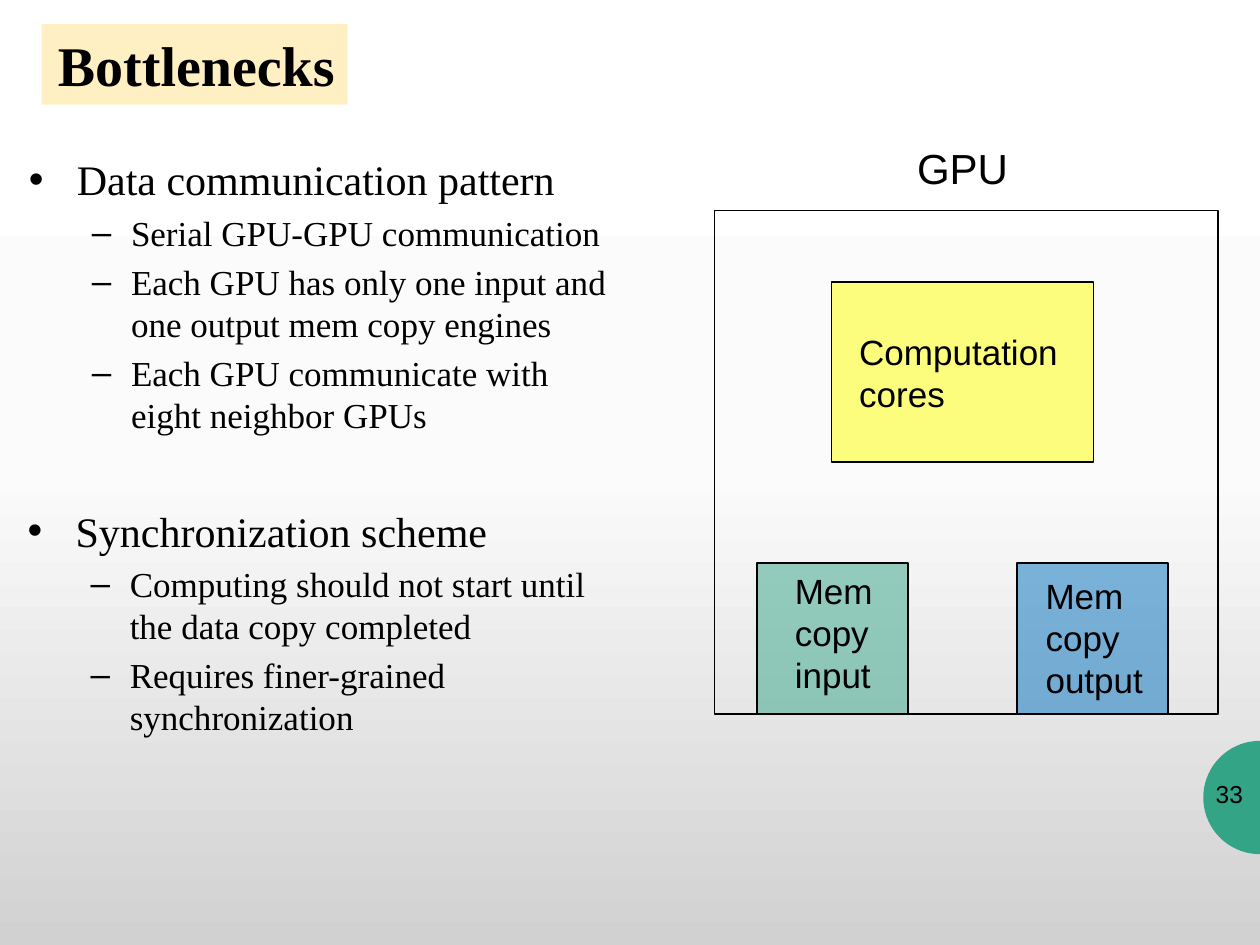
import copy
import math

from lxml import etree
from pptx import Presentation
from pptx.dml.color import RGBColor
from pptx.enum import shapes, text
from pptx.oxml.ns import qn
from pptx.util import Inches, Pt

COLORS = {
    "black": "000000",
    "cream": "FFEAA6",
    "green": "33A485",
    "yellow": "FFFF00",
    "blue": "0070C0",
}
BACKGROUND = [(0, "FFFFFF"), (0.5, "FBFBFB"), (1, "D1D1D1")]
SERIF, SANS = "Times New Roman", "Arial"

# (font size, left margin, hanging indent) for each list level
LEVELS = [(24, 0.38, -0.38), (20, 0.81, -0.31)]

LISTS = [
    (0.13, 1.17, "Data communication pattern", [
        "Serial GPU-GPU communication",
        "Each GPU has only one input and one output mem copy engines",
        "Each GPU communicate with eight neighbor GPUs",
    ]),
    (0.12, 3.96, "Synchronization scheme", [
        "Computing should not start until the data copy completed",
        "Requires finer-grained synchronization",
    ]),
]

# left, top, width, height, colour
BLOCKS = [
    (5.67, 1.67, 4, 4, None),
    (6.01, 4.47, 1.2, 1.2, "green"),
    (6.6, 2.24, 2.08, 1.43, "yellow"),
    (8.07, 4.47, 1.2, 1.2, "blue"),
]

# text, left, top, width, height, size
LABELS = [
    ("GPU", 7.18, 1.08, 1.25, 0.5, 24),
    ("Computation cores", 6.72, 2.57, 1.88, 0.77, 20),
    ("Mem copy input", 6.21, 4.47, 1.2, 1.11, 20),
    ("Mem copy output", 8.2, 4.51, 1.2, 1.11, 20),
    ("33", 9.55, 6.13, 0.45, 0.4, 14),
]


def rgb(name):
    return RGBColor.from_string(COLORS[name])


class SlideBuilder:
    def __init__(self, slide):
        self.slide = slide

    def place(self, sp, left, top, width, height):
        sp.left, sp.top = Inches(left), Inches(top)
        sp.width, sp.height = Inches(width), Inches(height)

    def font(self, p, size, name, bold=False):
        for r in p.runs:
            r.font.size, r.font.name, r.font.bold = Pt(size), name, bold
            r.font.color.rgb = rgb("black")

    def fill(self, sp, color, opacity=100):
        sp.fill.solid()
        sp.fill.fore_color.rgb = rgb(color)
        if opacity < 100:
            clr = sp.fill._xPr.find(qn("a:solidFill"))[0]
            etree.SubElement(clr, qn("a:alpha")).set("val", str(opacity * 1000))

    def background(self, stops):
        fill = self.slide.background.fill
        fill.gradient()
        fill.gradient_angle = 270
        gs_list = next(self.slide.element.iter(qn("a:gsLst")))
        gs_list.append(copy.deepcopy(gs_list[-1]))
        for stop, (position, color) in zip(fill.gradient_stops, stops):
            stop.position = position
            stop.color.rgb = RGBColor.from_string(color)

    def title(self, words, *box):
        sp = self.slide.shapes.title
        self.place(sp, *box)
        self.fill(sp, "cream", 67)
        tf = sp.text_frame
        tf.text = words
        tf.auto_size = text.MSO_AUTO_SIZE.NONE
        tf.vertical_anchor = text.MSO_ANCHOR.MIDDLE
        p = tf.paragraphs[0]
        p.alignment = text.PP_ALIGN.RIGHT
        self.font(p, 32, SERIF, bold=True)

    def bullets(self, sp, left, top, heading, items):
        self.place(sp, left, top, 4.89, 0.92)
        tf = sp.text_frame
        tf.text = "\n".join([heading, *items])
        tf.auto_size = text.MSO_AUTO_SIZE.NONE
        tf.vertical_anchor = text.MSO_ANCHOR.TOP
        for i, p in enumerate(tf.paragraphs):
            p.level = min(i, 1)
            size, margin, indent = LEVELS[p.level]
            p.space_before = Pt(size * 0.2)
            pPr = p._p.get_or_add_pPr()
            pPr.set("marL", str(Inches(margin)))
            pPr.set("indent", str(Inches(indent)))
            self.font(p, size, SERIF)

    def block(self, left, top, width, height, color):
        sp = self.slide.shapes.add_shape(
            shapes.MSO_SHAPE.RECTANGLE,
            Inches(left), Inches(top), Inches(width), Inches(height))
        sp.shadow.inherit = False
        sp.line.color.rgb = rgb("black")
        sp.line.width = Pt(1)
        if color:
            self.fill(sp, color, 50)
        else:
            sp.fill.background()

    def label(self, words, left, top, width, height, size):
        sp = self.slide.shapes.add_textbox(
            Inches(left), Inches(top), Inches(width), Inches(height))
        tf = sp.text_frame
        tf.word_wrap = True
        tf.text = words
        self.font(tf.paragraphs[0], size, SANS)

    def half_disc(self, x, y, radius, color):
        """Draw the left half of a disc centred on x, y."""
        angles = [math.radians(a) for a in range(90, 271, 5)]
        points = [(Inches(x + radius * math.cos(a)), Inches(y - radius * math.sin(a)))
                  for a in angles]
        outline = self.slide.shapes.build_freeform(*points[0])
        outline.add_line_segments(points[1:], close=True)
        sp = outline.convert_to_shape()
        sp.shadow.inherit = False
        self.fill(sp, color)
        sp.line.fill.background()


def main():
    prs = Presentation()
    prs.slide_width, prs.slide_height = Inches(10), Inches(7.5)
    slide = prs.slides.add_slide(prs.slide_layouts.get_by_name("Two Content"))
    builder = SlideBuilder(slide)
    builder.background(BACKGROUND)
    builder.half_disc(10, 6.33, 0.45, "green")
    builder.title("Bottlenecks", 0.33, 0.19, 2.43, 0.64)
    bodies = list(slide.placeholders)[1:]
    for body, content in zip(bodies, LISTS):
        builder.bullets(body, *content)
    for block in BLOCKS:
        builder.block(*block)
    for label in LABELS:
        builder.label(*label)
    prs.save("out.pptx")


if __name__ == "__main__":
    main()
